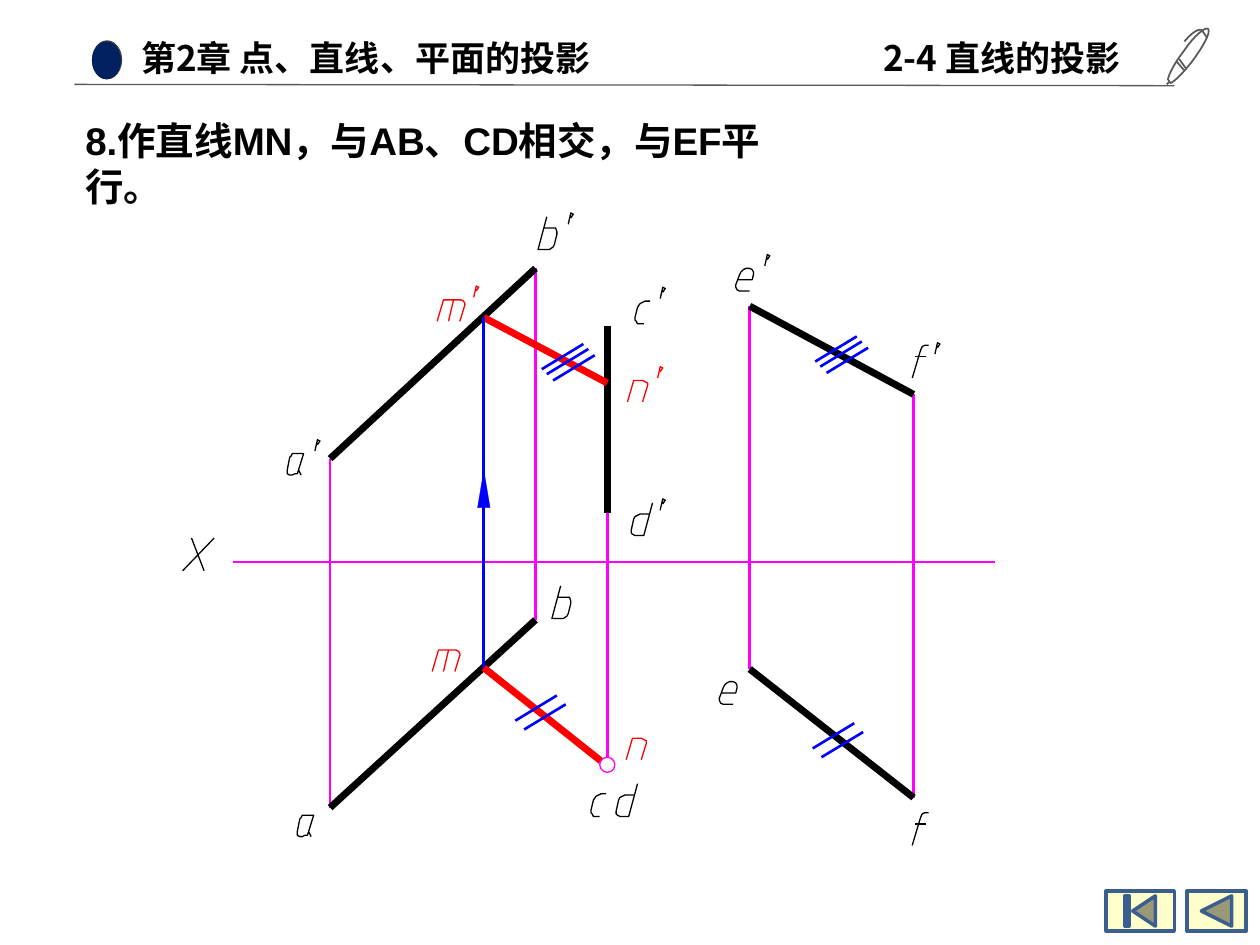
from lxml.etree import SubElement
from pptx import Presentation
from pptx.dml.color import RGBColor
from pptx.enum.shapes import MSO_CONNECTOR, MSO_SHAPE
from pptx.enum.text import MSO_AUTO_SIZE
from pptx.oxml.ns import qn
from pptx.util import Pt

UNIT = 9144
HUES = {
    "ink": "000000", "red": "FF0000", "blue": "0000FF", "pink": "FF00FF",
    "gray": "595959", "rim": "404040", "navy": "002060",
    "cream": "FFFFCC", "steel": "3A5F8C",
}
HAN = "Noto Sans CJK SC"

PRIME = [(0, 9), (2, 0), (4, 1), (2, 4)]
GLYPHS = {
    "a": [[(11, 17), (9, 13), (13, 0), (7, 0), (4, 0), (3, 2), (2, 3), (0, 13),
           (0, 16), (2, 17), (4, 17), (6, 16), (8, 16), (9, 13)]],
    "b": [[(7, 0), (0, 26), (9, 26), (12, 24), (13, 22), (15, 14), (15, 12),
           (14, 9), (12, 9), (5, 9)]],
    "c": [[(12, 0), (8, 0), (6, 1), (4, 2), (2, 5), (0, 13), (0, 15), (1, 16),
           (2, 18), (7, 18)]],
    "d": [[(17, 0), (10, 26), (3, 26), (1, 25), (0, 24), (0, 22), (2, 13),
           (3, 11), (5, 10), (7, 9), (15, 9)]],
    "e": [[(11, 18), (3, 18), (1, 17), (0, 15), (0, 13), (3, 5), (4, 3), (6, 1),
           (8, 0), (11, 0), (13, 1), (14, 3), (14, 5), (13, 9), (2, 9)]],
    "f": [[(0, 26), (6, 6), (7, 3), (8, 1), (10, 0), (13, 0)],
          [(11, 9), (2, 9)]],
    "m": [[(18, 17), (22, 4), (22, 3), (21, 1), (19, 0), (5, 0), (0, 17)],
          [(9, 17), (13, 0)]],
    "n": [[(0, 17), (5, 0), (12, 0), (14, 1), (16, 2), (16, 4), (12, 17)]],
    "X": [[(7, 0), (17, 26)], [(25, 0), (0, 26)]],
}


def px(num):
    return round(num * UNIT)


def tint(name):
    return RGBColor.from_string(HUES[name])


def edge(line, hue, width):
    line.color.rgb = tint(hue)
    line.width = Pt(width)


def paint(shape, fill=None, line=None, width=0):
    shape.shadow.inherit = False
    if fill:
        shape.fill.solid()
        shape.fill.fore_color.rgb = tint(fill)
    else:
        shape.fill.background()
    if line:
        edge(shape.line, line, width)
    else:
        shape.line.fill.background()


def block(slide, kind, box, **style):
    paint(slide.shapes.add_shape(kind, *map(px, box)), **style)


def join(slide, start, end, hue, width):
    line = slide.shapes.add_connector(
        MSO_CONNECTOR.STRAIGHT, *map(px, start + end))
    edge(line.line, hue, width)
    SubElement(line._element.spPr, qn("a:effectLst"))


def trace(slide, left, top, paths, hue, width):
    paths = [[(px(left + x), px(top + y)) for x, y in path] for path in paths]
    pen = slide.shapes.build_freeform(*paths[0][0], scale=1.0)
    for path in paths:
        pen.move_to(*path[0])
        pen.add_line_segments(path[1:], close=False)
    paint(pen.convert_to_shape(), line=hue, width=width)


def curve(start, one, two, end, steps=8):
    for step in range(steps + 1):
        t = step / steps
        u = 1 - t
        yield tuple(u**3 * p + 3 * u * u * t * q + 3 * u * t * t * r + t**3 * s
                    for p, q, r, s in zip(start, one, two, end))


def write(slide, box, text, size=20, font=HAN, pad=(10, 5)):
    frame = slide.shapes.add_textbox(*map(px, box)).text_frame
    frame.word_wrap = True
    frame.auto_size = MSO_AUTO_SIZE.SHAPE_TO_FIT_TEXT
    frame.margin_left = frame.margin_right = px(pad[0])
    frame.margin_top = frame.margin_bottom = px(pad[1])
    run = frame.paragraphs[0].add_run()
    run.text = text
    run.font.size = Pt(size)
    run.font.bold = True
    run.font.color.rgb = tint("ink")
    run.font.name = font
    SubElement(run.font._element, qn("a:ea"), typeface=HAN)


def header(slide, left, top):
    block(slide, MSO_SHAPE.OVAL, (left + 14, top + 11, 24, 31), fill="rim")
    block(slide, MSO_SHAPE.OVAL, (left + 14, top + 12, 23, 30), fill="navy")
    write(slide, (left + 46, top + 4, 407, 41), "第2章 点、直线、平面的投影",
          pad=(7, 4))
    write(slide, (left + 632, top + 3, 218, 44), "2-4 直线的投影")
    join(slide, (left, top + 46), (left + 873, top + 47), "gray", 0.75)
    body = [
        *curve((33, 2), (31, 0), (22, 7), (14, 19)),
        *curve((14, 19), (7, 28), (2, 37), (1, 42)),
        *curve((3, 45), (6, 44), (13, 37), (20, 28)),
        *curve((20, 28), (29, 16), (35, 5), (33, 2)),
    ]
    clip = [(32, 9), *curve((28, 3), (28, 3), (24, 0), (14, 12))]
    trace(slide, left + 867, top,
          [[(14, 35), (8, 28)], [(10, 26), (15, 33)], body,
           [(2, 44), (0, 46)], clip], "gray", 1)


def figure(slide, left, top):
    spots = {
        "a'": (117, 195), "b'": (280, 44), "c'": (337, 90), "d'": (337, 238),
        "e'": (450, 74), "f'": (580, 144), "m'": (239, 83), "n'": (337, 135),
        "a": (117, 472), "b": (280, 323), "e": (450, 362), "f": (580, 464),
        "m": (239, 361), "n": (332, 435), "cd": (337, 432),
        "X": (40, 277), "O": (645, 277),
    }
    lines = [
        ("pink", 1.5, "e e',f' f,a a',b' b,d' cd,X O"),
        ("ink", 4, "f e,e' f',d' c',b a,a' b'"),
        ("red", 4, "m' n'"),
        ("blue", 1.5, "m m'"),
        ("red", 4, "n m"),
    ]
    for hue, width, pairs in lines:
        for pair in pairs.split(","):
            start, end = [(left + spots[key][0], top + spots[key][1])
                          for key in pair.split()]
            join(slide, start, end, hue, width)

    marks = [(264, 403, 2, 7), (500, 425, 2, 7),
             (285, 124, 3, 9), (502, 118, 3, 9)]
    for x, y, count, span in marks:
        for step in range(count):
            shift = step * span // (count - 1)
            start = (left + x + shift, top + y + shift)
            join(slide, start, (start[0] + 33, start[1] - 20), "blue", 1.5)

    block(slide, MSO_SHAPE.OVAL, (left + 331, top + 432, 12, 12), line="pink")
    block(slide, MSO_SHAPE.ISOSCELES_TRIANGLE, (left + 234, top + 204, 10, 30),
          fill="blue", line="blue", width=0.13)

    names = [
        ("X", 0, 258), ("a", 91, 478), ("b", 293, 296), ("c", 324, 461),
        ("d", 344, 453), ("e", 426, 372), ("f", 579, 476),
        ("m", 198, 347), ("n", 352, 417),
        ("a", 83, 191, 22, -11), ("b", 282, 3, 24, -3),
        ("c", 359, 70, 20, -11), ("d", 356, 230, 23, -3),
        ("e", 439, 44, 23, -11), ("f", 579, 105, 18, -2),
        ("m", 202, 69, 29, -11), ("n", 353, 133, 24, -11),
    ]
    for name, x, y, *dash in names:
        paths = list(GLYPHS[name])
        if dash:
            paths.append([(dash[0] + u, dash[1] + v) for u, v in PRIME])
        trace(slide, left + x, top + y, paths,
              "red" if name in "mn" else "ink", 0)


def buttons(slide, left, top):
    look = {"fill": "cream", "line": "steel", "width": 2}
    block(slide, MSO_SHAPE.ACTION_BUTTON_BEGINNING, (left, top, 54, 32), **look)
    block(slide, MSO_SHAPE.ACTION_BUTTON_BACK_OR_PREVIOUS,
          (left + 64, top, 47, 32), **look)


def main():
    deck = Presentation()
    deck.slide_width, deck.slide_height = px(1000), px(750)
    slide = deck.slides.add_slide(deck.slide_layouts[6])
    header(slide, 59, 21)
    write(slide, (58, 88, 580, 47), "8.作直线MN，与AB、CD相交，与EF平行。",
          size=22, font="Arial")
    figure(slide, 145, 169)
    buttons(slide, 878, 707)
    deck.save("out.pptx")


if __name__ == "__main__":
    main()
